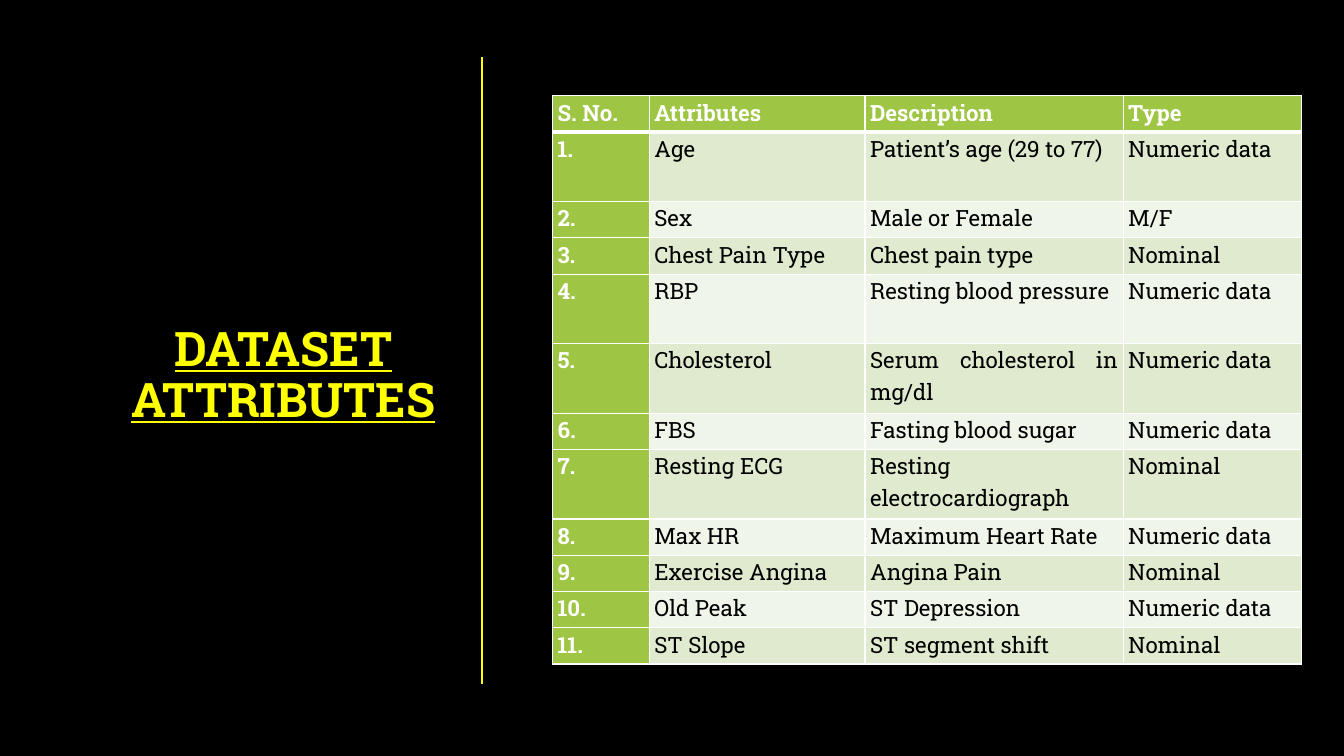
from dataclasses import dataclass

from lxml.etree import SubElement
from pptx import Presentation
from pptx.dml.color import RGBColor as Color
from pptx.enum.shapes import MSO_CONNECTOR as Connector
from pptx.enum.text import MSO_ANCHOR as Anchor, PP_ALIGN as Align
from pptx.oxml.ns import qn
from pptx.util import Inches, Pt

TITLE = "DATASET ATTRIBUTES"
HEADER = ("S. No.", "Attributes", "Description", "Type")
NUMERIC, NOMINAL = "Numeric data", "Nominal"
ATTRIBUTES = [
    ("Age", "Patient’s age (29 to 77)", NUMERIC),
    ("Sex", "Male or Female", "M/F"),
    ("Chest Pain Type", "Chest pain type", NOMINAL),
    ("RBP", "Resting blood pressure", NUMERIC),
    ("Cholesterol", "Serum cholesterol in mg/dl", NUMERIC),
    ("FBS", "Fasting blood sugar", NUMERIC),
    ("Resting ECG", "Resting electrocardiograph", NOMINAL),
    ("Max HR", "Maximum Heart Rate", NUMERIC),
    ("Exercise Angina", "Angina Pain", NOMINAL),
    ("Old Peak", "ST Depression", NUMERIC),
    ("ST Slope", "ST segment shift", NOMINAL),
]
COLUMN_WIDTHS = (0.96, 2.14, 2.56, 1.77)
TALL_ROWS = {1, 4, 5, 7}
ROW_HEIGHT, TALL_HEIGHT = 0.36, 0.69


@dataclass(frozen=True)
class Theme:
    font: str = "Roboto Slab"
    title_size: int = 34
    table_size: int = 16
    background: str = "000000"
    accent: str = "FFFF00"
    green: str = "9EC544"
    odd_band: str = "DFEACF"
    even_band: str = "F0F5E9"
    light: str = "FFFFFF"
    dark: str = "000000"


THEME = Theme()


def style_paragraph(paragraph, size, color, bold, align, spacing):
    font = paragraph.font
    font.name, font.size, font.bold = THEME.font, Pt(size), bold
    font.color.rgb = Color.from_string(color)
    paragraph.alignment = align
    paragraph.line_spacing = spacing


def add_title(slide):
    box = slide.shapes.add_textbox(Inches(0.82), Inches(0.67), Inches(3.98), Inches(6.13))
    frame = box.text_frame
    frame.word_wrap = True
    frame.vertical_anchor = Anchor.MIDDLE
    frame.text = TITLE
    paragraph = frame.paragraphs[0]
    style_paragraph(paragraph, THEME.title_size, THEME.accent, True, Align.CENTER, 0.9)
    paragraph.font.underline = True


def add_divider(slide):
    x = Inches(4.78)
    divider = slide.shapes.add_connector(Connector.STRAIGHT, x, Inches(0.57), x, Inches(6.79))
    divider.line.color.rgb = Color.from_string(THEME.accent)
    divider.line.width = Pt(1)
    SubElement(divider._element.spPr, qn("a:effectLst"))


def add_borders(cell, widths):
    properties = cell._tc.get_or_add_tcPr()
    for side, width in widths.items():
        line = SubElement(properties, qn(f"a:ln{side}"), w=str(Pt(width)))
        fill = SubElement(line, qn("a:solidFill"))
        SubElement(fill, qn("a:srgbClr"), val=THEME.light)


def fill_cell(cell, text, row, column):
    heading = row == 0 or column == 0
    band = THEME.odd_band if row % 2 else THEME.even_band
    add_borders(cell, {"L": 1, "R": 1, "T": 3 if row == 1 else 1, "B": 3 if row == 0 else 1})
    cell.fill.solid()
    cell.fill.fore_color.rgb = Color.from_string(THEME.green if heading else band)
    cell.margin_left = cell.margin_right = Inches(0.05)
    cell.margin_top = cell.margin_bottom = 0
    cell.text = text
    paragraph = cell.text_frame.paragraphs[0]
    color = THEME.light if heading else THEME.dark
    style_paragraph(paragraph, THEME.table_size, color, heading, Align.JUSTIFY, 1.07)
    paragraph.space_after = Pt(8)


def add_attribute_table(slide):
    rows = [HEADER] + [(f"{number}.", *entry) for number, entry in enumerate(ATTRIBUTES, 1)]
    heights = [TALL_HEIGHT if row in TALL_ROWS else ROW_HEIGHT for row in range(len(rows))]
    table = slide.shapes.add_table(
        len(rows), len(HEADER), Inches(5.48), Inches(0.95),
        Inches(sum(COLUMN_WIDTHS)), Inches(sum(heights)),
    ).table
    for column, width in zip(table.columns, COLUMN_WIDTHS):
        column.width = Inches(width)
    for row, (texts, height) in enumerate(zip(rows, heights)):
        table.rows[row].height = Inches(height)
        for column, text in enumerate(texts):
            fill_cell(table.cell(row, column), text, row, column)


def main():
    presentation = Presentation()
    presentation.slide_width, presentation.slide_height = Inches(13.33), Inches(7.5)
    slide = presentation.slides.add_slide(presentation.slide_layouts[6])
    slide.background.fill.solid()
    slide.background.fill.fore_color.rgb = Color.from_string(THEME.background)
    add_title(slide)
    add_attribute_table(slide)
    add_divider(slide)
    presentation.save("out.pptx")


if __name__ == "__main__":
    main()
